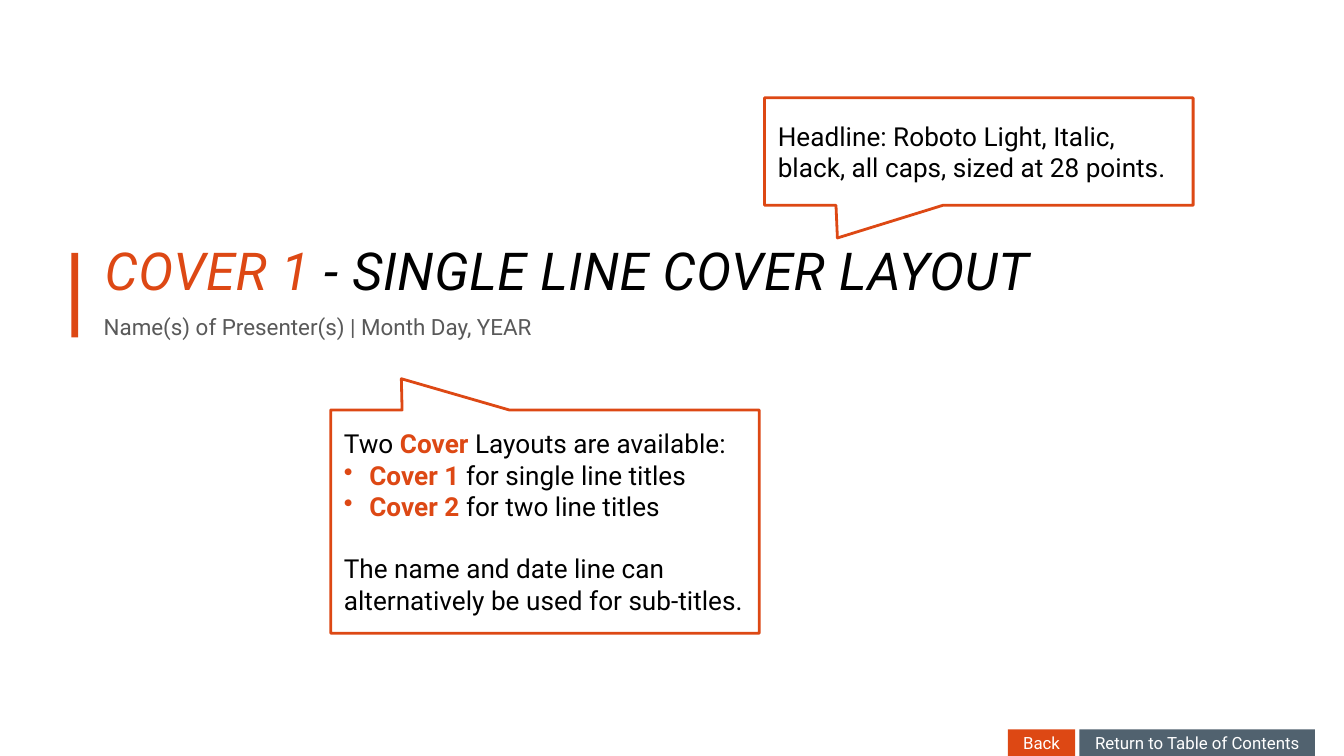
from dataclasses import dataclass

import lxml.etree
import pptx
import pptx.dml.color
import pptx.enum.shapes
import pptx.enum.text
import pptx.oxml.ns
import pptx.util

Cm = pptx.util.Cm
Pt = pptx.util.Pt
Align = pptx.enum.text.PP_ALIGN
Anchor = pptx.enum.text.MSO_ANCHOR
Preset = pptx.enum.shapes.MSO_SHAPE

ORANGE, SLATE, GREY = "DD4814", "51626F", "595959"
BLACK, WHITE = "000000", "FFFFFF"


@dataclass
class Frame:
    """Place and size in centimetres."""
    left: float
    top: float
    width: float
    height: float

    def lengths(self) -> list:
        return [Cm(n) for n in (self.left, self.top, self.width, self.height)]


@dataclass
class Span:
    text: str
    color: str = BLACK
    bold: bool = False
    italic: bool = False
    tracking: int = 0


@dataclass
class Para:
    spans: list[Span]
    bullet: bool = False
    space_before: float = 0


@dataclass
class Callout:
    frame: Frame
    tip: tuple[float, float]
    paras: list[Para]


@dataclass
class Button:
    label: str
    left: float
    width: float
    color: str


CALLOUTS = [
    Callout(Frame(6.25, 7.75, 8.1, 4.22), (-0.335, -0.64), [
        Para([Span("Two "), Span("Cover", ORANGE, bold=True),
              Span(" Layouts are available:")]),
        Para([Span("Cover 1 ", ORANGE, bold=True),
              Span("for single line titles")], bullet=True),
        Para([Span("Cover 2 ", ORANGE, bold=True),
              Span("for two line titles")], bullet=True),
        Para([Span("The name and date line can alternatively be used "
                   "for sub-titles.")], space_before=16.5),
    ]),
    Callout(Frame(14.45, 1.85, 8.1, 2.03), (-0.33, 0.805), [
        Para([Span("Headline: Roboto Light, Italic, black, all caps, "
                   "sized at 28 points.")]),
    ]),
]

BUTTONS = [
    Button("Return to Table of Contents", 20.4, 4.45, SLATE),
    Button("Back", 19.05, 1.27, ORANGE),
]


def rgb(color: str) -> pptx.dml.color.RGBColor:
    return pptx.dml.color.RGBColor.from_string(color)


def add_bullet(para) -> None:
    properties = para._p.get_or_add_pPr()
    properties.set("marL", str(Cm(0.48)))
    properties.set("indent", str(Cm(-0.48)))
    qn = pptx.oxml.ns.qn
    bullet_color = lxml.etree.SubElement(properties, qn("a:buClr"))
    lxml.etree.SubElement(bullet_color, qn("a:srgbClr"), val=ORANGE)
    lxml.etree.SubElement(properties, qn("a:buChar"), char="•")


def write(box, paras: list[Para], size: float, anchor: Anchor,
          margins: tuple[float, float], align: Align = Align.LEFT) -> None:
    """Fill a box with text; margins are the side and the top/bottom in cm."""
    text_frame = box.text_frame
    text_frame.word_wrap = True
    text_frame.vertical_anchor = anchor
    text_frame.margin_left = text_frame.margin_right = Cm(margins[0])
    text_frame.margin_top = text_frame.margin_bottom = Cm(margins[1])
    for index, item in enumerate(paras):
        para = text_frame.add_paragraph() if index else text_frame.paragraphs[0]
        para.alignment = align
        if item.bullet:
            add_bullet(para)
        if item.space_before:
            para.space_before = Pt(item.space_before)
        for span in item.spans:
            run = para.add_run()
            run.text = span.text
            run.font.name = "Roboto"
            run.font.size = Pt(size)
            run.font.bold = span.bold
            run.font.italic = span.italic
            run.font.color.rgb = rgb(span.color)
            if span.tracking:
                run.font._element.set("spc", str(span.tracking))


def add_filled(page, preset: Preset, frame: Frame, color: str):
    shape = page.shapes.add_shape(preset, *frame.lengths())
    shape.shadow.inherit = False
    shape.fill.solid()
    shape.fill.fore_color.rgb = rgb(color)
    shape.line.fill.background()
    return shape


def add_text(page, frame: Frame, spans: list[Span], size: float) -> None:
    box = page.shapes.add_textbox(*frame.lengths())
    write(box, [Para(spans)], size, Anchor.BOTTOM, (0, 0))


def add_callout(page, callout: Callout) -> None:
    shape = add_filled(page, Preset.RECTANGULAR_CALLOUT, callout.frame, WHITE)
    shape.line.color.rgb = rgb(ORANGE)
    shape.line.width = Pt(1.5)
    shape.adjustments[0], shape.adjustments[1] = callout.tip
    write(shape, callout.paras, 14, Anchor.MIDDLE, (0.25, 0.13))


def add_button(page, button: Button) -> None:
    frame = Frame(button.left, 13.79, button.width, 0.51)
    shape = add_filled(page, Preset.RECTANGLE, frame, button.color)
    write(shape, [Para([Span(button.label, WHITE)])], 9, Anchor.MIDDLE,
          (0.18, 0.1), Align.CENTER)


def main() -> None:
    deck = pptx.Presentation()
    deck.slide_width, deck.slide_height = Cm(25.4), Cm(14.29)
    page = deck.slides.add_slide(deck.slide_layouts[6])

    add_filled(page, Preset.RECTANGLE, Frame(1.35, 4.78, 0.13, 1.6), ORANGE)
    add_text(page, Frame(1.98, 3.43, 22.53, 2.26), [
        Span("COVER 1 ", ORANGE, italic=True, tracking=40),
        Span("- SINGLE LINE COVER LAYOUT", italic=True, tracking=40),
    ], 28)
    add_text(page, Frame(1.96, 5.84, 22.5, 0.58),
             [Span("Name(s) of Presenter(s) | Month Day, YEAR", GREY)], 12)
    for callout in CALLOUTS:
        add_callout(page, callout)
    for button in BUTTONS:
        add_button(page, button)
    deck.save("out.pptx")


if __name__ == "__main__":
    main()
